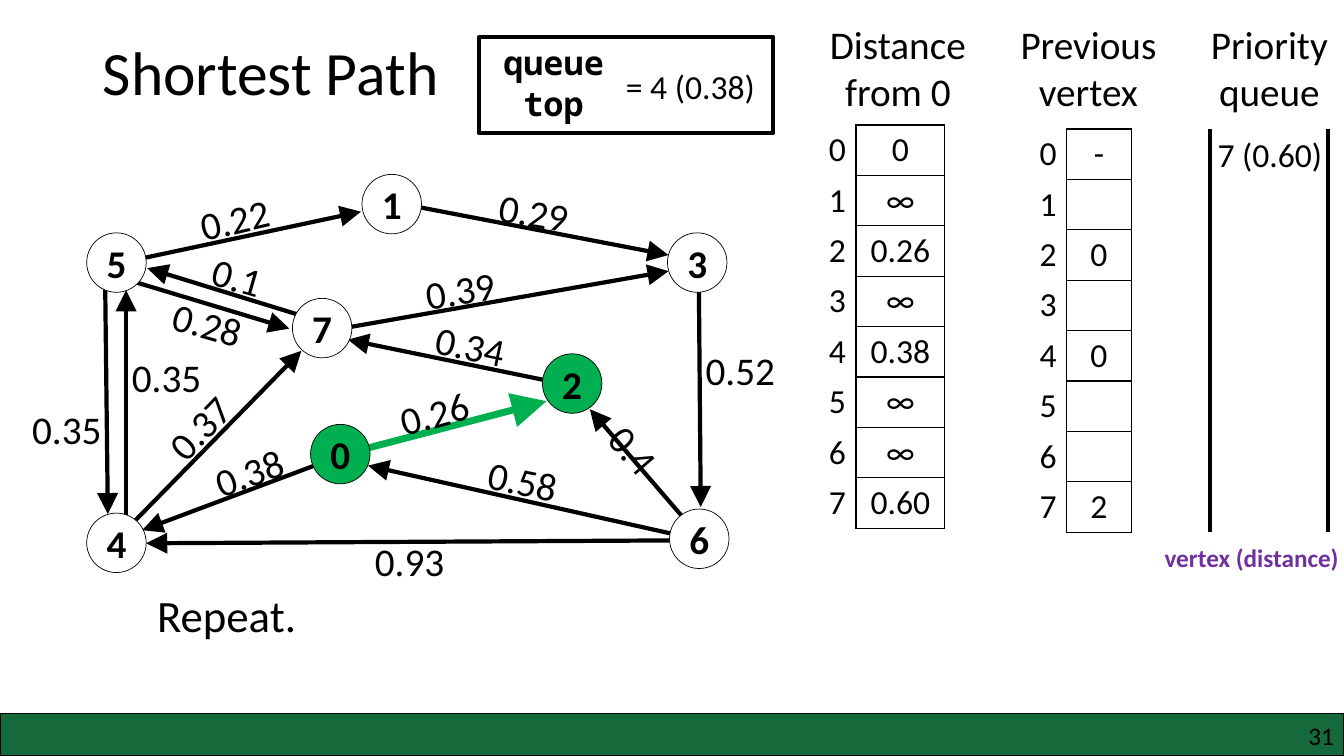
import pptx
import pptx.util
import pptx.dml.color
import pptx.enum.shapes
import pptx.enum.text
import pptx.oxml
import pptx.oxml.ns

RGB = pptx.dml.color.RGBColor
ALIGN = pptx.enum.text.PP_ALIGN
ANCHOR = pptx.enum.text.MSO_ANCHOR
SHAPE = pptx.enum.shapes.MSO_SHAPE
BLACK = RGB(0x00, 0x00, 0x00)
WHITE = RGB(0xFF, 0xFF, 0xFF)
GREEN = RGB(0x00, 0xB0, 0x50)
FOREST = RGB(0x15, 0x69, 0x3B)
PURPLE = RGB(0x70, 0x30, 0xA0)
SCALE = 9144
NS = pptx.oxml.ns.nsdecls("a")


def px(*nums):
    return [pptx.util.Emu(num * SCALE) for num in nums]


def write(frame, text, size=28, bold=False, color=BLACK, font="Calibri",
          align=ALIGN.LEFT, anchor=ANCHOR.TOP, inset=None, space=None):
    frame.word_wrap = True
    frame.vertical_anchor = anchor
    if inset is not None:
        frame.margin_left = frame.margin_right = px(inset)[0]
        frame.margin_top = frame.margin_bottom = px(inset)[0]
    frame.text = text
    for par in frame.paragraphs:
        par.alignment = align
        if space:
            par.line_spacing = space
        for run in par.runs:
            run.font.name = font
            run.font.size = pptx.util.Pt(size)
            run.font.bold = bold
            run.font.color.rgb = color


class Slide:
    def __init__(self, deck):
        self.page = deck.slides.add_slide(deck.slide_layouts[5])
        self.shapes = self.page.shapes

    def title(self, box, text, **style):
        head = self.shapes.title
        head.left, head.top, head.width, head.height = px(*box)
        write(head.text_frame, text, **style)

    def label(self, box, text, turn=0, **style):
        note = self.shapes.add_textbox(*px(*box))
        note.rotation = turn
        write(note.text_frame, text, **style)

    def block(self, kind, box, fill=None, width=1, text="", **style):
        item = self.shapes.add_shape(kind, *px(*box))
        item.shadow.inherit = False
        if fill is None:
            item.fill.background()
        else:
            item.fill.solid()
            item.fill.fore_color.rgb = fill
        item.line.color.rgb = BLACK
        item.line.width = pptx.util.Pt(width)
        if text:
            write(item.text_frame, text, **style)

    def line(self, ends, color=BLACK, width=3, arrow=False):
        kind = pptx.enum.shapes.MSO_CONNECTOR.STRAIGHT
        edge = self.shapes.add_connector(kind, *px(*ends))
        edge.line.color.rgb = color
        edge.line.width = pptx.util.Pt(width)
        if arrow:
            tip = f'<a:tailEnd {NS} type="triangle" w="lg" len="lg"/>'
            edge.line._get_or_add_ln().append(pptx.oxml.parse_xml(tip))
        plain = pptx.oxml.parse_xml(f"<a:effectLst {NS}/>")
        edge._element.spPr.append(plain)

    def table(self, left, top, widths, step, vals):
        box = px(left, top, sum(widths), step * len(vals))
        grid = self.shapes.add_table(len(vals), 2, *box).table
        grid.first_row = grid.horz_banding = False
        for col, wide in zip(grid.columns, px(*widths)):
            col.width = wide
        for num, val in enumerate(vals):
            self.cell(grid.cell(num, 0), str(num), ALIGN.RIGHT, ["lnR"])
            self.cell(grid.cell(num, 1), val, ALIGN.CENTER,
                      ["lnL", "lnR", "lnT", "lnB"])

    def cell(self, cell, text, align, sides):
        cell.margin_top = cell.margin_bottom = px(4)[0]
        cell.fill.background()
        write(cell.text_frame, text, size=24, align=align)
        cell.vertical_anchor = ANCHOR.MIDDLE
        for spot, side in enumerate(sides):
            rule = (f'<a:{side} {NS} w="12700"><a:solidFill>'
                    f'<a:srgbClr val="{BLACK}"/></a:solidFill></a:{side}>')
            cell._tc.get_or_add_tcPr().insert(spot, pptx.oxml.parse_xml(rule))


EDGES = [
    (697, 536, 585, 406), (691, 535, 365, 462), (693, 536, 145, 539),
    (341, 451, 141, 526), (569, 383, 345, 337), (113, 538, 299, 348),
    (327, 328, 663, 269), (693, 265, 695, 503), (318, 319, 146, 266),
    (108, 272, 287, 326), (104, 253, 107, 510), (125, 529, 125, 288),
    (119, 261, 358, 210), (392, 201, 663, 253),
]
NODES = [(308, 421), (359, 173), (538, 351), (662, 231),
         (86, 509), (86, 231), (664, 505), (290, 296)]
DONE = {0, 2}
COSTS = [
    ("0.35", 121, 346, 0), ("0.35", 22, 397, 0), ("0.37", 150, 387, 314),
    ("0.1", 200, 252, 16), ("0.28", 161, 296, 16), ("0.22", 188, 186, 347),
    ("0.38", 202, 436, 340), ("0.26", 386, 378, 345), ("0.39", 412, 257, 351),
    ("0.29", 485, 184, 10), ("0.34", 422, 317, 12), ("0.52", 690, 339, 0),
    ("0.93", 362, 528, 0), ("0.58", 474, 451, 12), ("0.4", 591, 424, 49),
]
HEADS = [("Distance from 0", 805, 171), ("Previous vertex", 994, 171),
         ("Priority queue", 1185, 148)]
DISTS = ["0", "∞", "0.26", "∞", "0.38", "∞", "∞", "0.60"]
PREVS = ["-", "", "0", "", "0", "", "", "2"]


def main():
    deck = pptx.Presentation()
    deck.slide_width, deck.slide_height = px(1333, 750)
    slide = Slide(deck)
    slide.title((92, 2, 1150, 145), "Shortest Path", size=44,
                anchor=ANCHOR.MIDDLE, space=0.9)

    for ends in EDGES:
        slide.line(ends, arrow=True)
    slide.line((340, 451, 542, 398), GREEN, 5, arrow=True)
    for num, (left, top) in enumerate(NODES):
        slide.block(SHAPE.OVAL, (left, top, 59, 59),
                    GREEN if num in DONE else WHITE, 0.5, str(num), bold=True,
                    align=ALIGN.CENTER, anchor=ANCHOR.MIDDLE, inset=0)
    for cost, left, top, turn in COSTS:
        wide = 85 if cost == "0.4" else 112
        slide.label((left, top, wide, 58), cost, turn)

    for head, left, wide in HEADS:
        slide.label((left, 15, wide, 104), head, align=ALIGN.CENTER)
    slide.table(786, 124, (63, 88), 50, DISTS)
    slide.table(994, 128, (64, 64), 50, PREVS)
    slide.label((1186, 128, 147, 50), "7 (0.60)", size=24, align=ALIGN.CENTER)
    for side in (1200, 1317):
        slide.line((side, 128, side, 528))
    slide.label((1155, 538, 178, 30), "vertex (distance)", size=18,
                bold=True, color=PURPLE, inset=0)

    slide.block(SHAPE.RECTANGLE, (475, 37, 292, 95), width=3)
    slide.label((482, 37, 134, 91), "queue\ntop", size=24, bold=True,
                font="Noto Sans Mono", align=ALIGN.CENTER)
    slide.label((611, 60, 156, 50), "= 4 (0.38)", size=24)
    slide.label((146, 578, 1096, 64), "Repeat.", size=32)
    slide.block(SHAPE.RECTANGLE, (0, 708, 1333, 42), FOREST)
    slide.label((1277, 715, 46, 30), "31", size=18, align=ALIGN.RIGHT, inset=0)
    deck.save("out.pptx")


if __name__ == "__main__":
    main()
